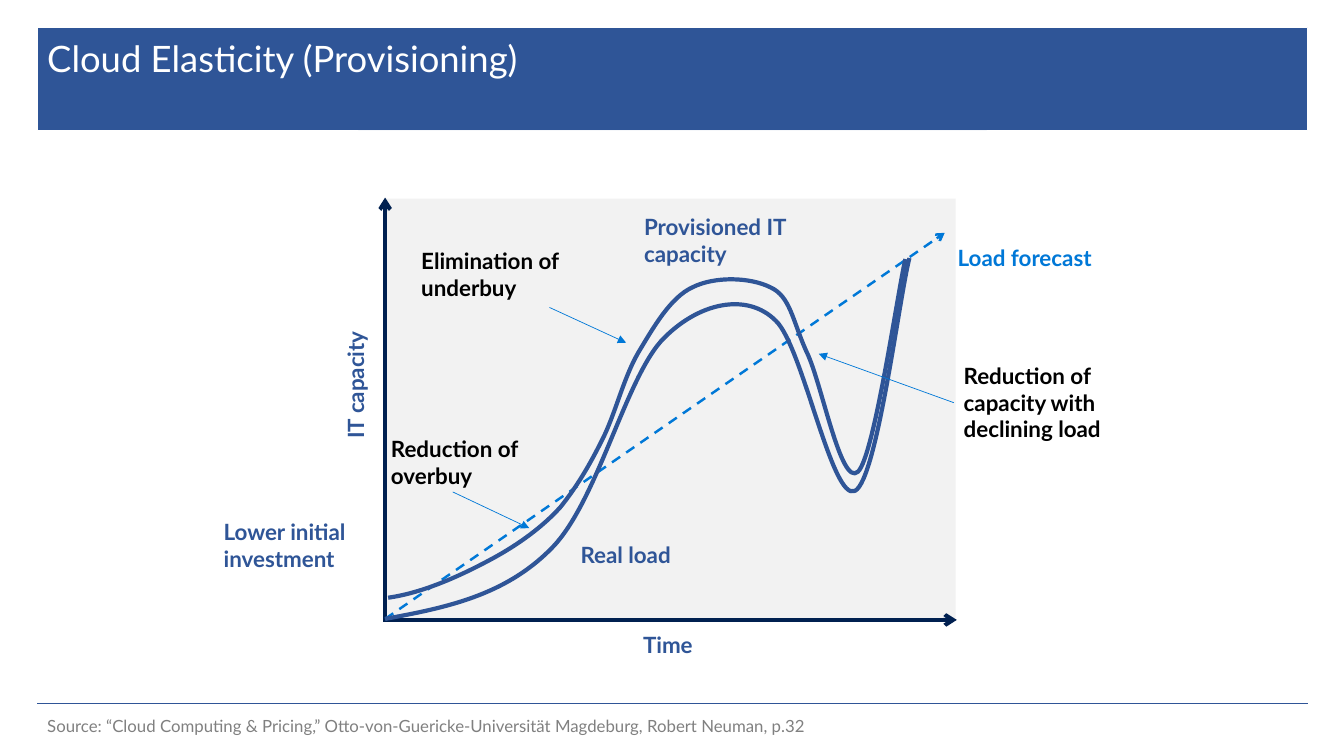
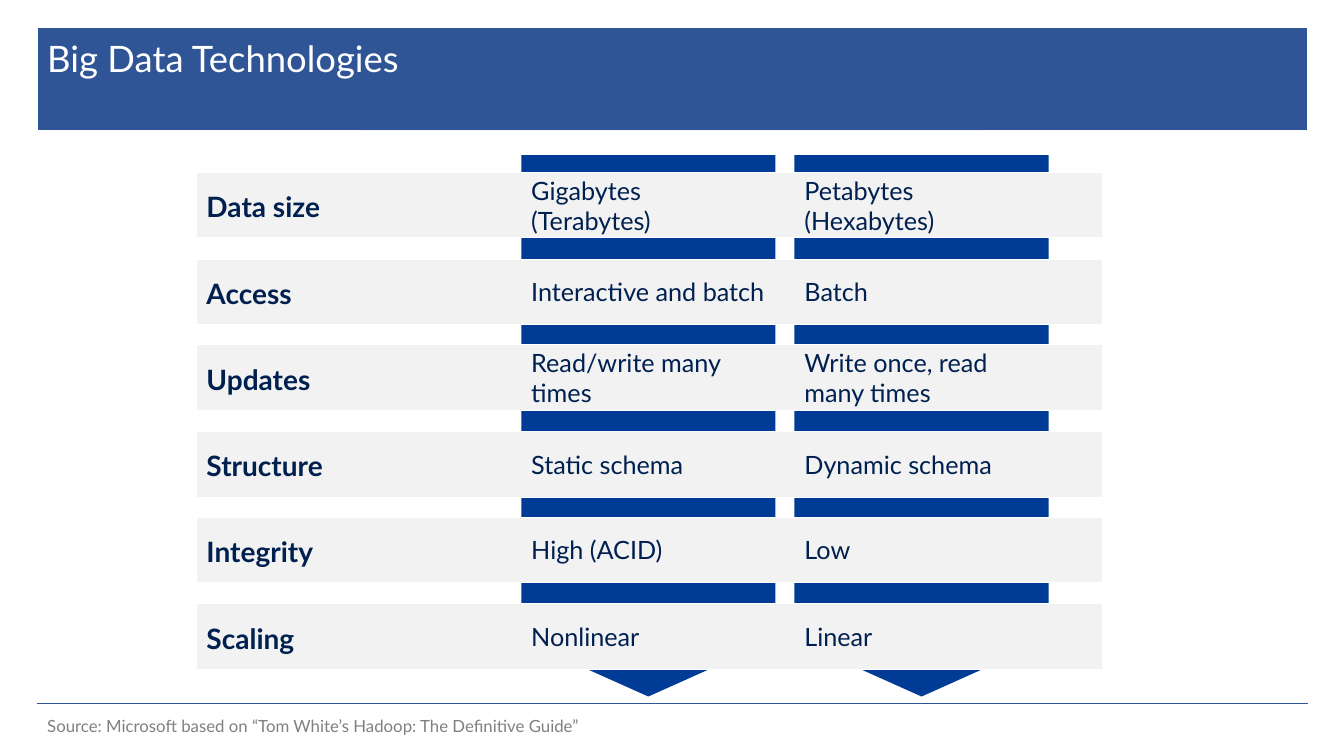
"""Build two slides on cloud elasticity and big data technologies."""
from lxml import etree
from pptx import Presentation
from pptx.dml.color import RGBColor
from pptx.enum.dml import MSO_LINE
from pptx.enum.shapes import MSO_CONNECTOR, MSO_SHAPE
from pptx.enum.text import MSO_ANCHOR
from pptx.oxml.ns import qn
from pptx.util import Emu, Pt

RECTANGLE = MSO_SHAPE.RECTANGLE
PENTAGON = MSO_SHAPE.PENTAGON
STRAIGHT = MSO_CONNECTOR.STRAIGHT
DASH = MSO_LINE.DASH
TOP, MIDDLE = MSO_ANCHOR.TOP, MSO_ANCHOR.MIDDLE
LEFT_SIDE = 1

EMU_PER_PX = 9144
FONT = "Lato"
WHITE, BLACK, GREY, PANEL = "FFFFFF", "000000", "808080", "F2F2F2"
BLUE, NAVY, SKY, ROYAL = "2F5597", "002050", "0078D7", "003C96"

ELASTICITY_TITLE = "Cloud Elasticity (Provisioning)"
ELASTICITY_SOURCE = ("Source: “Cloud Computing & Pricing,” Otto-von-Guericke-Universität "
                     "Magdeburg, Robert Neuman, p.32")
PLOT_BOX = (382, 197, 566, 417)
AXES = [((382, 617), (382, 196)), ((383, 615), (949, 615))]
FORECAST = ((382, 614), (937, 231))
REAL_LOAD = [(382, 614),
             (442, 603), (501, 591), (547, 544), (593, 498), (621, 372), (659, 335),
             (696, 298), (745, 290), (772, 321), (798, 353), (826, 498), (848, 487),
             (870, 476), (892, 294), (902, 256)]
PROVISIONED = [(385, 593),
               (421, 588), (459, 570), (487, 555), (515, 540), (539, 522), (556, 503),
               (572, 483), (584, 463), (597, 437), (610, 412), (618, 376), (633, 350),
               (648, 325), (665, 295), (687, 285), (709, 274), (744, 275), (764, 285),
               (784, 294), (786, 318), (800, 349), (815, 379), (834, 484), (851, 468),
               (867, 453), (890, 292), (898, 257)]
PLOT_LABELS = [
    ("Load forecast", (940, 237, 198, 37), SKY, 0),
    ("Real load", (566, 532, 156, 37), BLUE, 0),
    ("Reduction of overbuy", (378, 427, 160, 64), BLACK, 0),
    ("Elimination of underbuy", (408, 240, 157, 64), BLACK, 0),
    ("Provisioned IT\ncapacity", (629, 207, 183, 64), BLUE, 0),
    ("Lower initial investment", (212, 509, 152, 64), BLUE, 0),
    ("Time", (628, 621, 89, 37), BLUE, 0),
    ("IT capacity", (281, 355, 143, 37), BLUE, 270),
]
POINTERS = [((545, 305), (621, 340)), ((449, 488), (525, 524))]
DECLINE_LABEL = ("Reduction of capacity with declining load", (946, 354, 203, 91))
DECLINE_POINTER = ((946, 400), (812, 351))

TECHNOLOGY_TITLE = "Big Data Technologies"
TECHNOLOGY_SOURCE = "Source: Microsoft based on “Tom White’s Hadoop: The Definitive Guide”"
COMPARISON = [
    ("Data size", "Gigabytes (Terabytes)", "Petabytes (Hexabytes)"),
    ("Access", "Interactive and batch", "Batch"),
    ("Updates", "Read/write many times", "Write once, read many times"),
    ("Structure", "Static schema", "Dynamic schema"),
    ("Integrity", "High (ACID)", "Low"),
    ("Scaling", "Nonlinear", "Linear"),
]
ROW_LEFT, ROW_TOP, ROW_WIDTH, ROW_HEIGHT = 195, 171, 898, 65
LAST_ROW_TOP = 599
LABEL_WIDTH = 323
COLUMN_LEFTS, COLUMN_WIDTH = (517, 788), 252
ARROW_TOP, ARROW_LENGTH, ARROW_POINT = 154, 537, 0.224


def px(*lengths):
    """Convert px lengths to EMU."""
    return [Emu(round(length * EMU_PER_PX)) for length in lengths]


def color(hex_code):
    """Turn a hex string into a colour."""
    return RGBColor.from_string(hex_code)


def add_text(slide, text, box, size=16, ink=BLACK, bold=False, anchor=TOP, rotation=0):
    """Add a text box with one paragraph per line."""
    shape = slide.shapes.add_textbox(*px(*box))
    shape.rotation = rotation
    frame = shape.text_frame
    frame.word_wrap = True
    frame.vertical_anchor = anchor
    frame.text = text
    for paragraph in frame.paragraphs:
        font = paragraph.font
        font.name, font.size, font.bold = FONT, Pt(size), bold
        font.color.rgb = color(ink)
    return shape


def add_panel(slide, box, fill, outline=None, width=0.5, kind=RECTANGLE):
    """Add a filled preset shape."""
    shape = slide.shapes.add_shape(kind, *px(*box))
    shape.shadow.inherit = False
    shape.fill.solid()
    shape.fill.fore_color.rgb = color(fill)
    if outline:
        shape.line.color.rgb = color(outline)
        shape.line.width = Pt(width)
    else:
        shape.line.fill.background()
    return shape


def add_line(slide, ends, ink, width, arrow=None, dash=None):
    """Add a straight connector, optionally with an arrowhead at its end."""
    start, end = ends
    connector = slide.shapes.add_connector(STRAIGHT, *px(*start, *end))
    connector.line.color.rgb = color(ink)
    connector.line.width = Pt(width)
    if dash:
        connector.line.dash_style = dash
    properties = connector._element.spPr
    if arrow:
        etree.SubElement(properties.find(qn("a:ln")), qn("a:tailEnd"), type=arrow)
    etree.SubElement(properties, qn("a:effectLst"))
    return connector


def add_curve(slide, points):
    """Add an open curve: a start point, then three points per cubic segment."""
    builder = slide.shapes.build_freeform(*points[0], scale=EMU_PER_PX)
    builder.add_line_segments(points[1:], close=False)
    shape = builder.convert_to_shape()
    shape.shadow.inherit = False
    shape.fill.background()
    shape.line.color.rgb = color(BLUE)
    shape.line.width = Pt(3)
    outline = next(shape._element.iter(qn("a:path")))
    segments = outline.findall(qn("a:lnTo"))
    for first in range(0, len(segments), 3):
        cubic = etree.SubElement(outline, qn("a:cubicBezTo"))
        for segment in segments[first:first + 3]:
            cubic.append(segment[0])
            outline.remove(segment)


def add_framed_slide(presentation, title, source):
    """Add a blank slide with the title band and the source footer."""
    slide = presentation.slides.add_slide(presentation.slide_layouts[6])
    add_panel(slide, (37, 27, 1260, 102), BLUE, WHITE, 0.25)
    add_line(slide, ((37, 698), (1297, 698)), BLUE, 0.5)
    add_text(slide, title, (37, 31, 1106, 95), size=26, ink=WHITE)
    add_text(slide, source, (37, 697, 1122, 47), size=12, ink=GREY, anchor=MIDDLE)
    return slide


def build_elasticity(presentation):
    """Draw the capacity and load diagram."""
    slide = add_framed_slide(presentation, ELASTICITY_TITLE, ELASTICITY_SOURCE)
    add_panel(slide, PLOT_BOX, PANEL)
    for axis in AXES:
        add_line(slide, axis, NAVY, 2.75, arrow="arrow")
    add_line(slide, FORECAST, SKY, 1.75, arrow="arrow", dash=DASH)
    for curve in (REAL_LOAD, PROVISIONED):
        add_curve(slide, curve)
    for text, box, ink, rotation in PLOT_LABELS:
        add_text(slide, text, box, ink=ink, bold=True, rotation=rotation)
    for pointer in POINTERS:
        add_line(slide, pointer, SKY, 0.5, arrow="triangle")
    decline_label = add_text(slide, *DECLINE_LABEL, bold=True)
    decline_pointer = add_line(slide, DECLINE_POINTER, SKY, 0.5, arrow="triangle")
    decline_pointer.begin_connect(decline_label, LEFT_SIDE)


def build_technologies(presentation):
    """Draw the comparison rows over two downward arrows."""
    slide = add_framed_slide(presentation, TECHNOLOGY_TITLE, TECHNOLOGY_SOURCE)
    turn = (ARROW_LENGTH - COLUMN_WIDTH) / 2
    for left in COLUMN_LEFTS:
        box = (left - turn, ARROW_TOP + turn, ARROW_LENGTH, COLUMN_WIDTH)
        arrow = add_panel(slide, box, ROYAL, kind=PENTAGON)
        arrow.adjustments[0] = ARROW_POINT
        arrow.rotation = 90
    pitch = (LAST_ROW_TOP - ROW_TOP) / (len(COMPARISON) - 1)
    for index, (label, *values) in enumerate(COMPARISON):
        top = round(ROW_TOP + index * pitch)
        add_panel(slide, (ROW_LEFT, top, ROW_WIDTH, ROW_HEIGHT), PANEL, WHITE)
        add_text(slide, label, (ROW_LEFT, top + 12, LABEL_WIDTH, 44),
                 size=20, ink=NAVY, bold=True, anchor=MIDDLE)
        for left, value in zip(COLUMN_LEFTS, values):
            add_text(slide, value, (left, top - 3, COLUMN_WIDTH, 71),
                     size=18, ink=NAVY, anchor=MIDDLE)


def main():
    """Build and save the presentation."""
    presentation = Presentation()
    presentation.slide_width, presentation.slide_height = px(1333, 750)
    build_elasticity(presentation)
    build_technologies(presentation)
    presentation.save("out.pptx")


if __name__ == "__main__":
    main()
